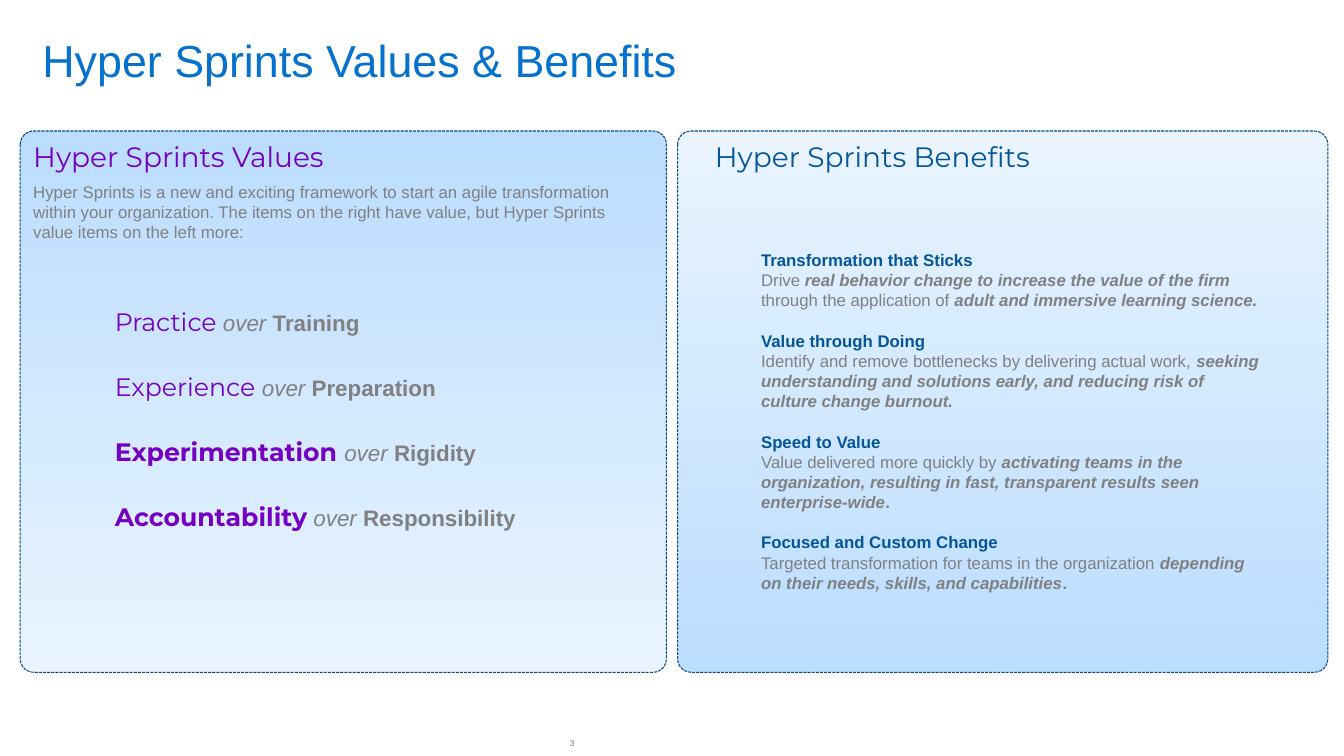
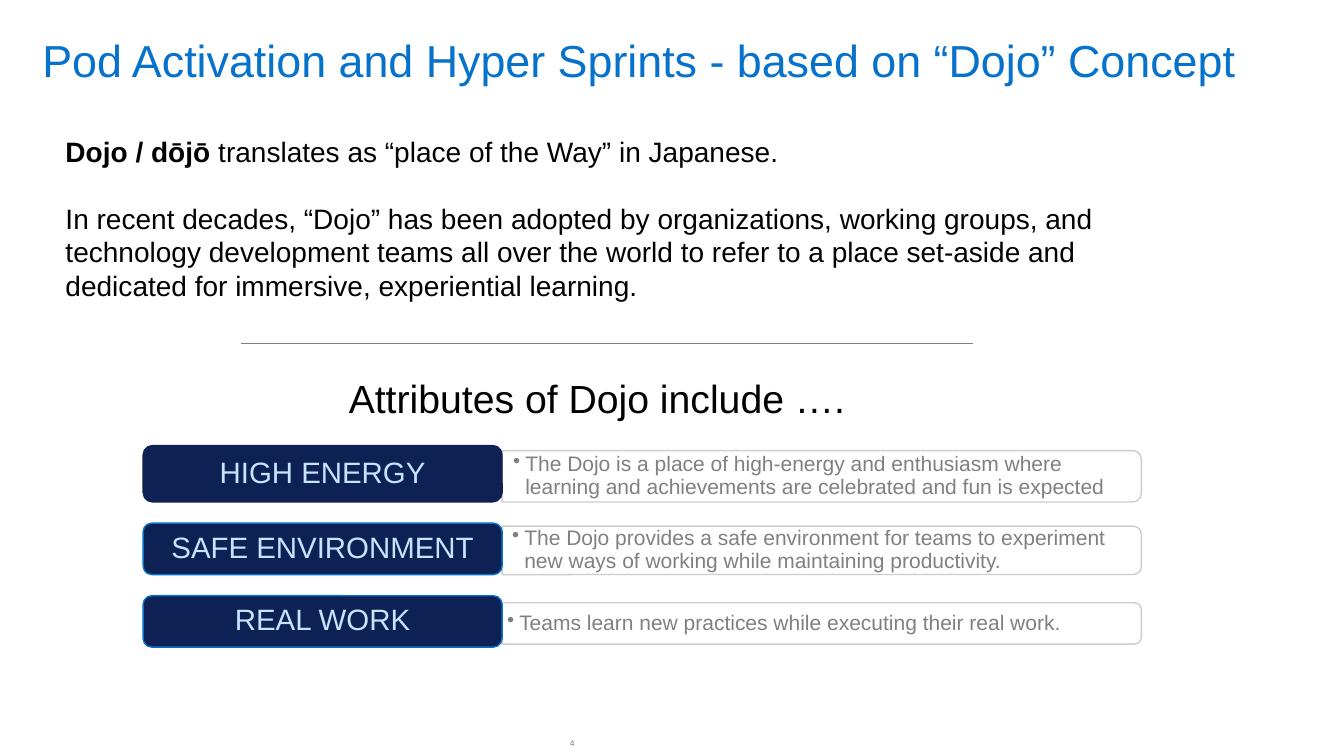
from lxml import etree
from pptx import Presentation
from pptx.dml.color import RGBColor
from pptx.enum.dml import MSO_LINE
from pptx.enum.shapes import MSO_CONNECTOR, MSO_SHAPE
from pptx.enum.text import MSO_ANCHOR, MSO_AUTO_SIZE, PP_ALIGN
from pptx.oxml.ns import qn
from pptx.util import Inches, Pt

ROUND = MSO_SHAPE.ROUNDED_RECTANGLE
TAB = MSO_SHAPE.ROUND_2_SAME_RECTANGLE
STRAIGHT = MSO_CONNECTOR.STRAIGHT
DASH = MSO_LINE.SQUARE_DOT
TOP, MIDDLE = MSO_ANCHOR.TOP, MSO_ANCHOR.MIDDLE
LEFT, CENTER, RIGHT = PP_ALIGN.LEFT, PP_ALIGN.CENTER, PP_ALIGN.RIGHT
FIXED = MSO_AUTO_SIZE.NONE

SANS, DISPLAY = "Arial", "Montserrat"
BLUE, NAVY, DEEP, EDGE = "0672CB", "0D2155", "055698", "044A84"
PURPLE, GRAY, BLACK, SILVER = "7500C0", "808080", "000000", "CCCDD1"
SKY, MIST, ICE = "BBDDFF", "E9F4FF", "C5E4FD"

BOLD = {"bold": True}
ITALIC = {"italic": True}
STRONG = {"bold": True, "italic": True}

BENEFITS = [
    ("Transformation that Sticks", [
        ("Drive ", {}),
        ("real behavior change to increase the value of the firm ", STRONG),
        ("through the application of ", {}),
        ("adult and immersive learning science.", STRONG)]),
    ("Value through Doing", [
        ("Identify and remove bottlenecks by delivering actual work, ", {}),
        ("seeking understanding and solutions early, and reducing risk of "
         "culture change burnout.", STRONG)]),
    ("Speed to Value", [
        ("Value delivered more quickly by ", {}),
        ("activating teams in the organization, resulting in fast, "
         "transparent results seen enterprise-wide", STRONG),
        (".", BOLD)]),
    ("Focused and Custom Change", [
        ("Targeted transformation for teams in the organization ", {}),
        ("depending on their needs, skills, and capabilities", STRONG),
        (".", BOLD)]),
]

# Favoured value, whether it is bold, joining word, lesser value
VALUES = [
    ("Practice", False, " over ", "Training"),
    ("Experience ", False, "over ", "Preparation"),
    ("Experimentation ", True, "over ", "Rigidity"),
    ("Accountability", True, " over ", "Responsibility"),
]

# Label, pill top and height, pill edge, bar top and height, text left, detail
TRAITS = [
    ("HIGH ENERGY", 4.42, 0.56, NAVY, 4.47, 0.51, 5.03,
     "The Dojo is a place of high-energy and enthusiasm where learning and "
     "achievements are celebrated and fun is expected"),
    ("SAFE ENVIRONMENT", 5.19, 0.51, BLUE, 5.22, 0.48, 5.02,
     "The Dojo provides a safe environment for teams to experiment new ways "
     "of working while maintaining productivity."),
    ("REAL WORK", 5.91, 0.51, BLUE, 5.98, 0.41, 4.97,
     "Teams learn new practices while executing their real work."),
]


def color(code):
    return RGBColor.from_string(code)


def style(font, size=None, hue=None, name=None, bold=None, italic=None):
    if size:
        font.size = Pt(size)
    if hue:
        font.color.rgb = color(hue)
    if name:
        font.name = name
    if bold is not None:
        font.bold = bold
    if italic is not None:
        font.italic = italic


def setup(frame, anchor=TOP, inset=(0, 0)):
    frame.word_wrap = True
    frame.auto_size = FIXED
    frame.vertical_anchor = anchor
    frame.margin_left = frame.margin_right = Inches(inset[0])
    frame.margin_top = frame.margin_bottom = Inches(inset[1])
    return frame


def write(para, runs, size, hue, name=SANS, align=LEFT, lead=None,
          before=0, after=0, **look):
    """Fill a paragraph from a string or from (text, look) pairs."""
    style(para.font, size, hue, name, **look)
    para.alignment = align
    para.space_before, para.space_after = Pt(before), Pt(after)
    if lead:
        para.line_spacing = lead
    for text, extra in [(runs, {})] if isinstance(runs, str) else runs:
        run = para.add_run()
        run.text = text
        style(run.font, **extra)


def area(slide, x, y, w, h, anchor=TOP, inset=(0, 0)):
    box = slide.shapes.add_textbox(Inches(x), Inches(y), Inches(w), Inches(h))
    return setup(box.text_frame, anchor, inset)


def note(slide, x, y, w, h, runs, size, hue, **look):
    write(area(slide, x, y, w, h).paragraphs[0], runs, size, hue, **look)


def block(slide, kind, x, y, w, h, edge, width):
    shape = slide.shapes.add_shape(kind, Inches(x), Inches(y),
                                   Inches(w), Inches(h))
    shape.shadow.inherit = False
    shape.line.color.rgb = color(edge)
    shape.line.width = Pt(width)
    return shape


def rows(frame):
    """Yield the first paragraph, then new ones."""
    yield frame.paragraphs[0]
    while True:
        yield frame.add_paragraph()


def base(deck, title, number):
    """Start a slide with the shared title and page number."""
    slide = deck.slides.add_slide(deck.slide_layouts[5])
    head = slide.shapes.title
    head.left, head.top = Inches(0.42), Inches(0.38)
    head.width, head.height = Inches(12.5), Inches(0.48)
    write(setup(head.text_frame).paragraphs[0], title, 32, BLUE, lead=0.9)
    note(slide, 5.4, 7.33, 0.3, 0.09, str(number), 6, GRAY,
         align=RIGHT, lead=0.9)
    return slide


def panel(slide, x, y, w, h, start, end):
    shape = block(slide, ROUND, x, y, w, h, EDGE, 0.75)
    shape.adjustments[0] = 0.025
    shape.line.dash_style = DASH
    shape.fill.gradient()
    for stop, hue in zip(shape.fill.gradient_stops, (start, end)):
        stop.color.rgb = color(hue)


def values(slide, x, y, w, h):
    panel(slide, x, y, w, h, MIST, SKY)
    left = x + 0.13
    note(slide, left, y + 0.08, 4, 0.34, "Hyper Sprints Values", 20, PURPLE,
         name=DISPLAY)
    note(slide, left, y + 0.5, 5.96, 0.61,
         "Hyper Sprints is a new and exciting framework to start an agile "
         "transformation within your organization. The items on the right "
         "have value, but Hyper Sprints value items on the left more:",
         12, GRAY)
    frame = area(slide, x + 0.94, y + 1.78, 4.34, 2.22)
    for para, (more, bold, over, less) in zip(rows(frame), VALUES):
        lead = {"size": 18, "hue": PURPLE, "name": DISPLAY, "bold": bold}
        write(para, [(more, lead), (over, ITALIC), (less, BOLD)],
              16, GRAY, lead=0.85, after=28.3)


def benefits(slide, x, y, w, h):
    panel(slide, x, y, w, h, SKY, MIST)
    note(slide, x + 0.37, y + 0.08, 4, 0.34, "Hyper Sprints Benefits", 20,
         DEEP, name=DISPLAY)
    frame = area(slide, x + 0.73, y + 1.13, 5.19, 3.53, inset=(0.1, 0.05))
    lines = rows(frame)
    for i, (head, body) in enumerate(BENEFITS):
        write(next(lines), head, 12, DEEP, bold=True, before=14.4 if i else 0)
        write(next(lines), body, 12, GRAY)


def bullet(para):
    props = para._p.get_or_add_pPr()
    props.set("marL", str(Inches(0.12)))
    props.set("indent", str(-Inches(0.12)))
    mark = etree.Element(qn("a:buChar"), char="•")
    props.find(qn("a:defRPr")).addprevious(mark)


def trait(slide, x, label, top, tall, edge, y, h, left, detail):
    """Draw one pill with the bar of detail to its right."""
    wide, span = 3.56, 6.34
    # The bar is an upright tab turned on its side about its centre
    bar = block(slide, TAB, x + wide + (span - h) / 2, y + (h - span) / 2,
                h, span, SILVER, 1)
    bar.rotation = 90
    bar.fill.background()
    frame = area(slide, left, y, 6.29, h, MIDDLE, (0.06, 0.03))
    write(frame.paragraphs[0], detail, 15, GRAY, lead=0.9)
    bullet(frame.paragraphs[0])
    pill = block(slide, ROUND, x, top, wide, tall, edge, 1)
    pill.fill.solid()
    pill.fill.fore_color.rgb = color(NAVY)
    frame = setup(pill.text_frame, MIDDLE, (0.09, 0.04))
    write(frame.paragraphs[0], label, 21, ICE, align=CENTER, lead=0.9)


def intro(slide, x, y, w, h):
    lines = rows(area(slide, x, y, w, h))
    write(next(lines),
          [("Dojo / dōjō ", BOLD),
           ("translates as “place of the Way” in Japanese.", {})],
          20, BLACK, after=24)
    write(next(lines),
          "In recent decades, “Dojo” has been adopted by organizations, "
          "working groups, and technology development teams all over the "
          "world to refer to a place set-aside and dedicated for immersive, "
          "experiential learning.", 20, BLACK)


def rule(slide, x, y, w):
    line = slide.shapes.add_connector(STRAIGHT, Inches(x), Inches(y),
                                      Inches(x + w), Inches(y))
    line.line.color.rgb = color(GRAY)
    line.line.width = Pt(1)
    etree.SubElement(line._element.spPr, qn("a:effectLst"))


def main():
    deck = Presentation()
    deck.slide_width, deck.slide_height = Inches(13.33), Inches(7.5)

    # Values and benefits
    slide = base(deck, "Hyper Sprints Values & Benefits", 3)
    values(slide, 0.2, 1.3, 6.41, 5.37)
    benefits(slide, 6.72, 1.3, 6.45, 5.37)

    # Dojo concept
    slide = base(deck, "Pod Activation and Hyper Sprints - based on “Dojo” "
                 "Concept", 4)
    intro(slide, 0.65, 1.33, 10.67, 1.68)
    rule(slide, 2.39, 3.41, 7.26)
    note(slide, 3.46, 3.71, 5.06, 0.47, "Attributes of Dojo include ….",
         28, BLACK)
    for item in TRAITS:
        trait(slide, 1.42, *item)

    deck.save("out.pptx")


if __name__ == "__main__":
    main()
